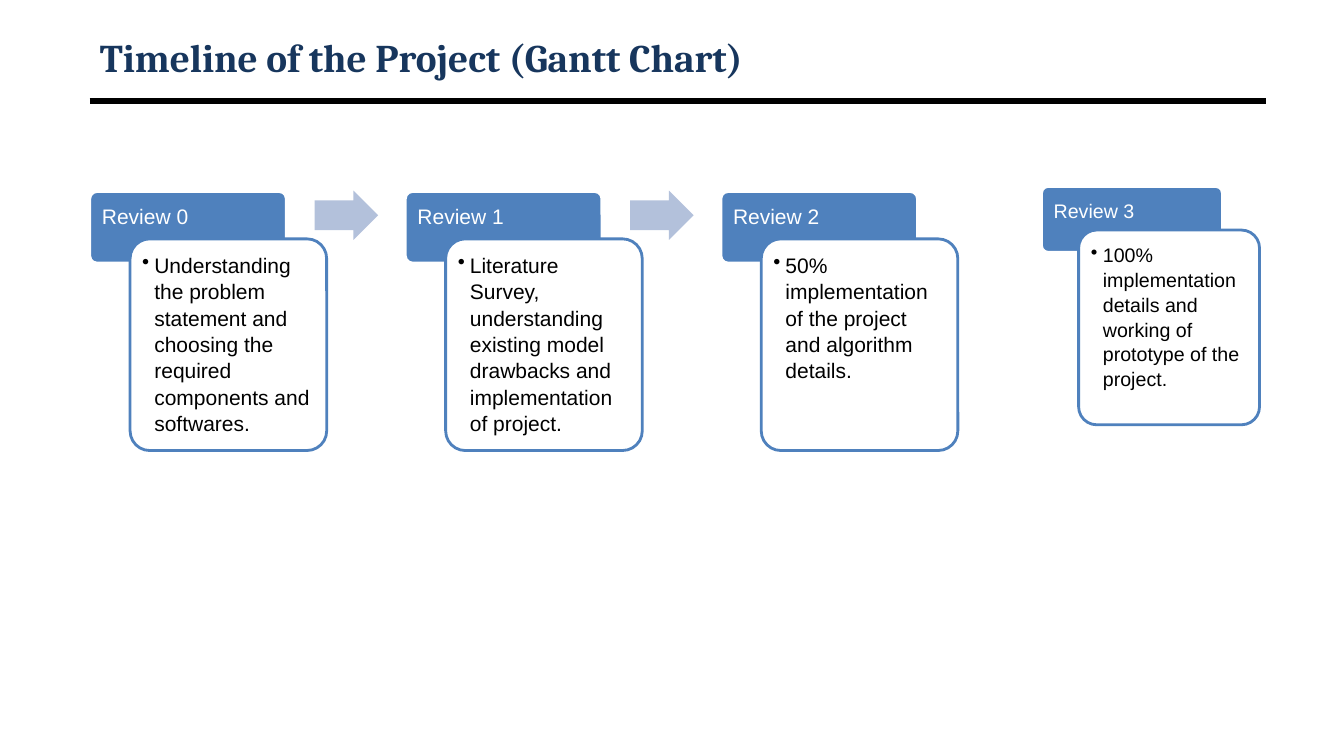
from dataclasses import dataclass

from lxml.etree import SubElement
from pptx import Presentation
from pptx.dml.color import RGBColor
from pptx.enum.shapes import MSO_CONNECTOR, MSO_SHAPE
from pptx.enum.text import MSO_ANCHOR, PP_ALIGN
from pptx.oxml.ns import qn
from pptx.util import Inches, Pt


@dataclass(frozen=True)
class Theme:
    """Colours, fonts and type sizes of the slide."""
    navy: RGBColor = RGBColor.from_string("17365D")
    blue: RGBColor = RGBColor.from_string("4F81BD")
    pale: RGBColor = RGBColor.from_string("B3C1DB")
    white: RGBColor = RGBColor.from_string("FFFFFF")
    black: RGBColor = RGBColor.from_string("000000")
    title_font: str = "Cambria"
    body_font: str = "Arial"
    title_size: int = 28
    body_size: int = 15
    small_size: int = 14


THEME = Theme()
CORNER = 0.1
STEP_PITCH = 3.13
STEPS = [
    ("Review 0", "Understanding the problem statement and choosing the "
                 "required components and softwares."),
    ("Review 1", "Literature Survey, understanding existing model drawbacks "
                 "and implementation of project."),
    ("Review 2", "50% implementation of the project and algorithm details."),
]
FINAL_STEP = ("Review 3", "100% implementation details and working of "
                          "prototype of the project.")


def add_title(slide, left, top, width, height):
    """Place the title and the rule beneath it."""
    title = slide.shapes.title
    title.left, title.top = Inches(left), Inches(top)
    title.width, title.height = Inches(width), Inches(height)
    frame = title.text_frame
    frame.text = "Timeline of the Project (Gantt Chart)"
    frame.vertical_anchor = MSO_ANCHOR.MIDDLE
    paragraph = frame.paragraphs[0]
    paragraph.alignment = PP_ALIGN.LEFT
    font = paragraph.font
    font.name, font.size, font.bold = THEME.title_font, Pt(THEME.title_size), True
    font.color.rgb = THEME.navy

    rule_top = Inches(top + 0.7)
    rule = slide.shapes.add_connector(
        MSO_CONNECTOR.STRAIGHT, Inches(left), rule_top, Inches(left + width), rule_top)
    rule.line.color.rgb = THEME.black
    rule.line.width = Pt(4.5)
    SubElement(rule.element.spPr, qn("a:effectLst"))


def add_card(slide, box, text, fill, line, color, size):
    """Draw a rounded card with its text in the top left corner."""
    left, top, width, height = box
    card = slide.shapes.add_shape(
        MSO_SHAPE.ROUNDED_RECTANGLE, *(Inches(length) for length in box))
    card.adjustments[0] = CORNER
    card.shadow.inherit = False
    card.fill.solid()
    card.fill.fore_color.rgb = fill
    card.line.color.rgb = line
    card.line.width = Pt(2)
    frame = card.text_frame
    frame.word_wrap = True
    frame.vertical_anchor = MSO_ANCHOR.TOP
    margin = Inches(0.12 - 0.29 * CORNER * min(width, height))
    frame.margin_left = frame.margin_right = frame.margin_top = margin
    frame.margin_bottom = margin
    frame.text = text
    paragraph = frame.paragraphs[0]
    paragraph.alignment = PP_ALIGN.LEFT
    font = paragraph.font
    font.name, font.size = THEME.body_font, Pt(size)
    font.color.rgb = color
    return paragraph


def add_bullet(paragraph):
    """Give a paragraph a hanging bullet."""
    paragraph.line_spacing = 1.05
    properties = paragraph._p.get_or_add_pPr()
    properties.set("marL", str(Inches(0.12)))
    properties.set("indent", str(-Inches(0.12)))
    SubElement(properties, qn("a:buChar")).set("char", "•")
    default_run = properties.find(qn("a:defRPr"))
    if default_run is not None:
        properties.append(default_run)


def add_step(slide, left, top, step, size, scale=1):
    """Draw a review label with its description card overlapping it."""
    label, description = step
    width = 1.95 * scale
    add_card(slide, (left, top, width, 0.71 * scale), label,
             THEME.blue, THEME.white, THEME.white, size)
    body = (left + 0.4 * scale, top + 0.47 * scale, width, 2.1 * scale)
    add_bullet(add_card(slide, body, description,
                        THEME.white, THEME.blue, THEME.black, size))


def add_arrow(slide, left, top):
    """Draw the arrow that leads to the next review."""
    arrow = slide.shapes.add_shape(
        MSO_SHAPE.RIGHT_ARROW, Inches(left), Inches(top), Inches(0.63), Inches(0.49))
    arrow.adjustments[0] = 0.6
    arrow.shadow.inherit = False
    arrow.fill.solid()
    arrow.fill.fore_color.rgb = THEME.pale
    arrow.line.fill.background()


def add_timeline(slide, left, top):
    """Lay out the reviews from left to right."""
    for index, step in enumerate(STEPS):
        step_left = left + index * STEP_PITCH
        add_step(slide, step_left, top, step, THEME.body_size)
        if index < len(STEPS) - 1:
            add_arrow(slide, step_left + 2.23, top - 0.01)
    add_step(slide, left + 9.44, top - 0.05, FINAL_STEP, THEME.small_size, 0.92)


def main():
    """Build and save the slide."""
    presentation = Presentation()
    presentation.slide_width, presentation.slide_height = Inches(13.33), Inches(7.5)
    slide = presentation.slides.add_slide(presentation.slide_layouts[5])
    add_title(slide, 0.89, 0.3, 11.67, 0.53)
    add_timeline(slide, 0.89, 1.9)
    presentation.save("out.pptx")


if __name__ == "__main__":
    main()
